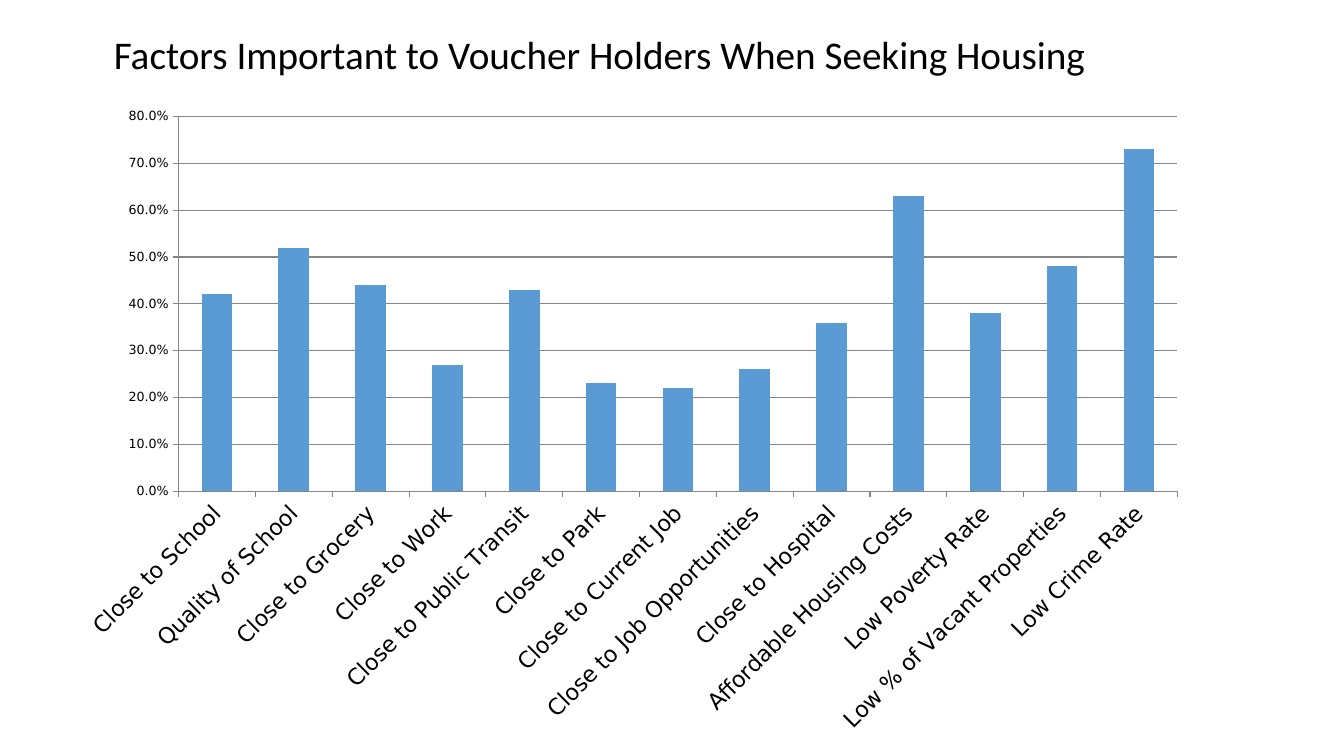
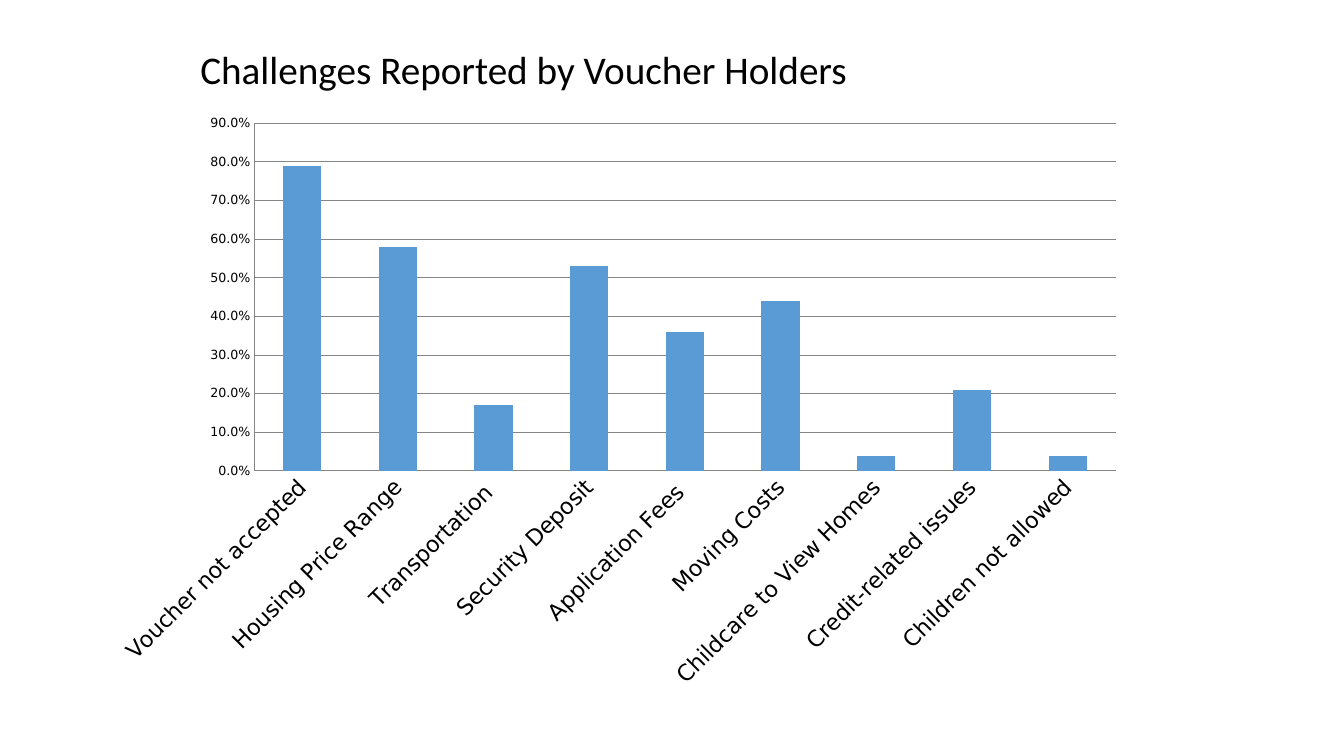
from dataclasses import dataclass

from lxml.etree import SubElement
from pptx import Presentation
from pptx.chart.axis import CategoryAxis, ValueAxis
from pptx.chart.chart import Chart
from pptx.chart.data import CategoryChartData
from pptx.dml.color import RGBColor
from pptx.enum.chart import XL_CHART_TYPE, XL_TICK_MARK
from pptx.enum.text import MSO_AUTO_SIZE
from pptx.oxml.ns import qn
from pptx.slide import Slide
from pptx.util import Cm, Pt

TITLE_FONT = "Calibri"
LABEL_FONT = "DejaVu Sans"
TEXT_COLOR = "000000"
BAR_COLOR = "5B9BD5"
LINE_COLOR = "868686"
LABEL_ROTATION = -45
TITLE_HEIGHT = 1.45
CHART_TOP = 2.74


@dataclass(frozen=True)
class Box:
    """Position and size, in centimetres or as fractions of a chart."""
    left: float
    top: float
    width: float
    height: float

    def lengths(self) -> tuple[Cm, Cm, Cm, Cm]:
        return Cm(self.left), Cm(self.top), Cm(self.width), Cm(self.height)


@dataclass(frozen=True)
class SurveySlide:
    title: str
    title_box: Box
    chart_box: Box
    plot_box: Box
    tick_mark: XL_TICK_MARK
    maximum: float
    shares: dict[str, float]


SURVEY_SLIDES = [
    SurveySlide(
        title="Factors Important to Voucher Holders When Seeking Housing",
        title_box=Box(2.62, 0.64, 29.51, TITLE_HEIGHT),
        chart_box=Box(2.18, CHART_TOP, 27.94, 16.31),
        plot_box=Box(0.083, 0.012, 0.901, 0.579),
        tick_mark=XL_TICK_MARK.OUTSIDE,
        maximum=0.8,
        shares={
            "Close to School": 0.42,
            "Quality of School": 0.52,
            "Close to Grocery": 0.44,
            "Close to Work": 0.27,
            "Close to Public Transit": 0.43,
            "Close to Park": 0.23,
            "Close to Current Job": 0.22,
            "Close to Job Opportunities": 0.26,
            "Close to Hospital": 0.36,
            "Affordable Housing Costs": 0.63,
            "Low Poverty Rate": 0.38,
            "Low % of Vacant Properties": 0.48,
            "Low Crime Rate": 0.73,
        },
    ),
    SurveySlide(
        title="Challenges Reported by Voucher Holders",
        title_box=Box(4.8, 1.02, 24.59, TITLE_HEIGHT),
        chart_box=Box(0.81, CHART_TOP, 27.58, 15.27),
        plot_box=Box(0.203, 0.024, 0.787, 0.574),
        tick_mark=XL_TICK_MARK.NONE,
        maximum=0.9,
        shares={
            "Voucher not accepted": 0.79,
            "Housing Price Range": 0.58,
            "Transportation ": 0.17,
            "Security Deposit": 0.53,
            "Application Fees ": 0.36,
            "Moving Costs": 0.44,
            "Childcare to View Homes": 0.04,
            "Credit-related issues": 0.21,
            "Children not allowed": 0.04,
        },
    ),
]


def color(hex_value: str) -> RGBColor:
    return RGBColor.from_string(hex_value)


def style_font(font, name: str, size: float) -> None:
    font.name = name
    font.size = Pt(size)
    font.color.rgb = color(TEXT_COLOR)


def style_line(line) -> None:
    line.color.rgb = color(LINE_COLOR)
    line.width = Pt(0.75)


def style_axis(axis: CategoryAxis | ValueAxis, tick_mark: XL_TICK_MARK, size: float) -> None:
    axis.major_tick_mark = tick_mark
    axis.minor_tick_mark = XL_TICK_MARK.NONE
    style_line(axis.format.line)
    style_font(axis.tick_labels.font, LABEL_FONT, size)


def place_plot(chart: Chart, box: Box) -> None:
    """Fix the inner plot area at fractions of the chart's size."""
    plot_area = chart.element.xpath("c:chart/c:plotArea")[0]
    for old_layout in plot_area.findall(qn("c:layout")):
        plot_area.remove(old_layout)
    layout = SubElement(plot_area, qn("c:layout"))
    plot_area.insert(0, layout)
    manual = SubElement(layout, qn("c:manualLayout"))
    settings = {
        "layoutTarget": "inner", "xMode": "edge", "yMode": "edge",
        "x": box.left, "y": box.top, "w": box.width, "h": box.height,
    }
    for tag, value in settings.items():
        SubElement(manual, qn(f"c:{tag}")).set("val", str(value))


def rotate_category_labels(chart: Chart, degrees: int) -> None:
    body = chart.element.xpath("c:chart/c:plotArea/c:catAx/c:txPr/a:bodyPr")[0]
    body.set("rot", str(degrees * 60000))
    body.set("vert", "horz")


def add_title(slide: Slide, text: str, box: Box) -> None:
    frame = slide.shapes.add_textbox(*box.lengths()).text_frame
    frame.word_wrap = True
    frame.auto_size = MSO_AUTO_SIZE.SHAPE_TO_FIT_TEXT
    run = frame.paragraphs[0].add_run()
    run.text = text
    style_font(run.font, TITLE_FONT, 28)


def add_column_chart(slide: Slide, survey: SurveySlide) -> None:
    data = CategoryChartData(number_format="0.0%")
    data.categories = list(survey.shares)
    data.add_series("Series 1", list(survey.shares.values()))
    chart = slide.shapes.add_chart(
        XL_CHART_TYPE.COLUMN_CLUSTERED, *survey.chart_box.lengths(), data
    ).chart
    chart.has_legend = False
    chart.has_title = False
    style_font(chart.font, TITLE_FONT, 10)

    plot = chart.plots[0]
    plot.gap_width = 150
    plot.vary_by_categories = False
    fill = plot.series[0].format.fill
    fill.solid()
    fill.fore_color.rgb = color(BAR_COLOR)

    style_axis(chart.category_axis, survey.tick_mark, 16)
    rotate_category_labels(chart, LABEL_ROTATION)

    value_axis = chart.value_axis
    style_axis(value_axis, survey.tick_mark, 9)
    value_axis.minimum_scale = 0
    value_axis.maximum_scale = survey.maximum
    value_axis.major_unit = 0.1
    value_axis.tick_labels.number_format = "0.0%"
    value_axis.tick_labels.number_format_is_linked = False
    value_axis.has_major_gridlines = True
    style_line(value_axis.major_gridlines.format.line)
    place_plot(chart, survey.plot_box)


def main() -> None:
    presentation = Presentation()
    presentation.slide_width = Cm(33.87)
    presentation.slide_height = Cm(19.05)
    blank_layout = presentation.slide_layouts[6]
    for survey in SURVEY_SLIDES:
        slide = presentation.slides.add_slide(blank_layout)
        add_column_chart(slide, survey)
        add_title(slide, survey.title, survey.title_box)
    presentation.save("out.pptx")


if __name__ == "__main__":
    main()
